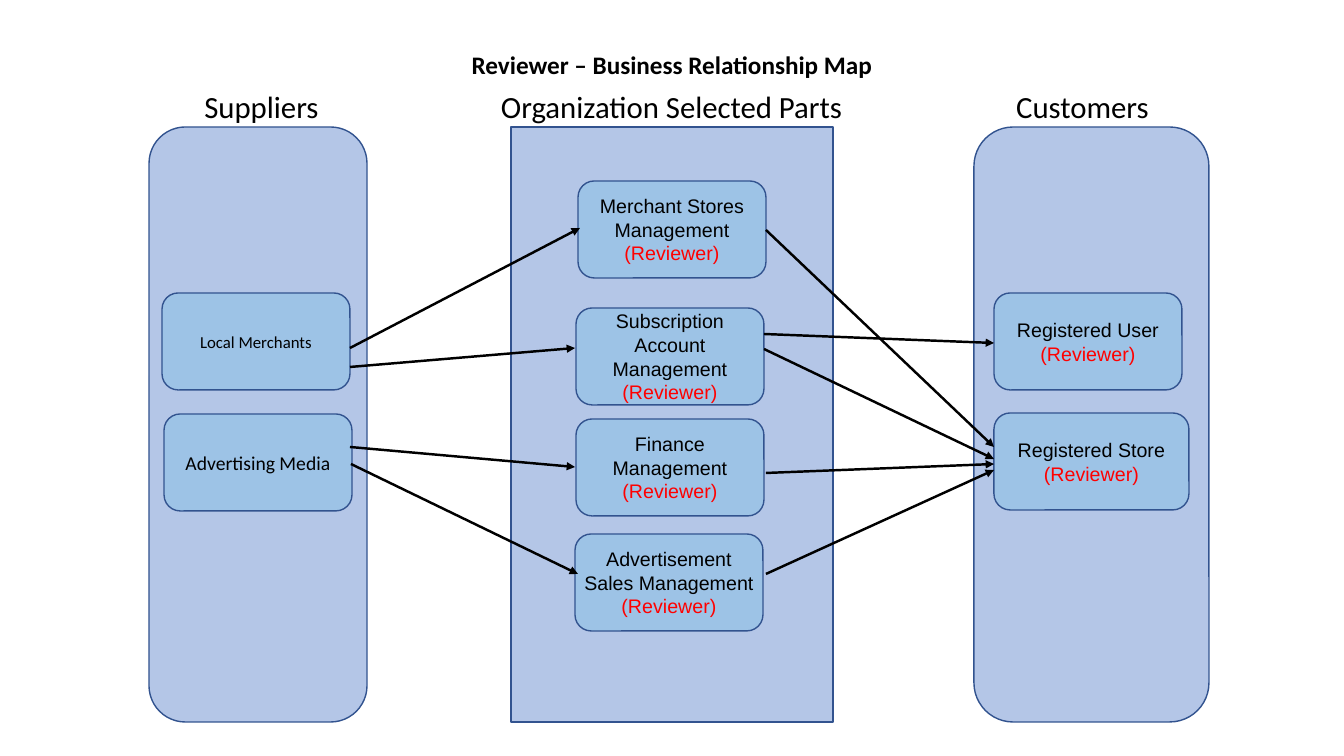
"""Builds the Reviewer business relationship map slide."""
from lxml import etree
from pptx import Presentation
from pptx.dml.color import RGBColor
from pptx.enum.shapes import MSO_CONNECTOR, MSO_SHAPE
from pptx.enum.text import MSO_ANCHOR, MSO_AUTO_SIZE, PP_ALIGN
from pptx.oxml.ns import qn
from pptx.util import Emu, Pt

EMU_PER_PX = 914400 / 100.8
BLACK = RGBColor(0, 0, 0)
RED = RGBColor(255, 0, 0)
PANEL_BLUE = RGBColor(0x44, 0x72, 0xC4)
BOX_BLUE = RGBColor(0x9D, 0xC3, 0xE6)
OUTLINE = RGBColor(0x32, 0x53, 0x8F)

PANEL_TOP, PANEL_HEIGHT = 127, 595
HEADING_TOP, HEADING_HEIGHT = 85, 42
BOX_WIDTH, BOX_HEIGHT = 188, 97
ROUND, SQUARE = MSO_SHAPE.ROUNDED_RECTANGLE, MSO_SHAPE.RECTANGLE
REVIEWER = ("(Reviewer)", RED)

COLUMNS = [
    ("Suppliers", 149, 225, ROUND, 149, 218),
    ("Organization Selected Parts", 490, 363, SQUARE, 511, 322),
    ("Customers", 970, 225, ROUND, 974, 235),
]
SUPPLIERS = [
    ("Local Merchants", 162, 293, 12),
    ("Advertising Media", 164, 414, 14),
]
REVIEWED_PARTS = [
    ("Merchant Stores Management", 578, 181, BOX_WIDTH, 10),
    ("Subscription Account Management", 576, 308, BOX_WIDTH, 10),
    ("Finance Management", 576, 419, BOX_WIDTH, 10),
    ("Advertisement Sales Management", 575, 534, BOX_WIDTH, 0),
    ("Registered User", 994, 293, BOX_WIDTH, 10),
    ("Registered Store", 994, 413, 195, 10),
]
ARROWS = [
    (350, 348, 580, 228), (350, 367, 575, 348),
    (350, 447, 575, 467), (351, 464, 578, 574),
    (766, 230, 994, 447), (764, 334, 994, 343),
    (764, 349, 994, 459), (766, 473, 994, 464),
    (766, 574, 994, 470),
]


def px(*lengths):
    """Turn pixel lengths into a list of EMU lengths."""
    return [Emu(round(length * EMU_PER_PX)) for length in lengths]


def write(frame, lines, size, font, inset=5, bold=False):
    """Fill a text frame with centred (text, colour) paragraphs."""
    frame.word_wrap = True
    frame.auto_size = MSO_AUTO_SIZE.NONE
    frame.vertical_anchor = MSO_ANCHOR.MIDDLE
    frame.margin_left, frame.margin_right = px(inset, inset)
    frame.margin_top = frame.margin_bottom = 0
    for index, (text, colour) in enumerate(lines):
        paragraph = frame.paragraphs[0] if index == 0 else frame.add_paragraph()
        paragraph.alignment = PP_ALIGN.CENTER
        paragraph.line_spacing = 1
        paragraph.space_before = Pt(0)
        run = paragraph.add_run()
        run.text = text
        run.font.name, run.font.size, run.font.bold = font, Pt(size), bold
        run.font.color.rgb = colour


def add_title(slide, text):
    """Place the slide title."""
    title = slide.shapes.title
    title.left, title.top, title.width, title.height = px(341, 44, 662, 40)
    write(title.text_frame, [(text, BLACK)], 18, "Calibri", bold=True)


def add_outlined(slide, kind, bounds, colour):
    """Add a filled shape with the common outline."""
    shape = slide.shapes.add_shape(kind, *px(*bounds))
    shape.shadow.inherit = False
    shape.fill.solid()
    shape.fill.fore_color.rgb = colour
    shape.line.color.rgb = OUTLINE
    shape.line.width = Pt(1)
    return shape


def add_column(slide, heading, text_left, text_width, kind, left, width):
    """Add a heading above a translucent panel."""
    label = slide.shapes.add_textbox(
        *px(text_left, HEADING_TOP, text_width, HEADING_HEIGHT))
    write(label.text_frame, [(heading, BLACK)], 22, "Calibri")
    panel = add_outlined(slide, kind, (left, PANEL_TOP, width, PANEL_HEIGHT),
                         PANEL_BLUE)
    colour = panel.fill._xPr.find(".//" + qn("a:srgbClr"))
    etree.SubElement(colour, qn("a:alpha")).set("val", "40000")


def add_box(slide, lines, left, top, width, size, font, inset):
    """Add a rounded box holding its text."""
    box = add_outlined(slide, ROUND, (left, top, width, BOX_HEIGHT), BOX_BLUE)
    write(box.text_frame, lines, size, font, inset)


def add_arrow(slide, *ends):
    """Add a straight arrow between two points."""
    arrow = slide.shapes.add_connector(MSO_CONNECTOR.STRAIGHT, *px(*ends))
    arrow.line.color.rgb = BLACK
    arrow.line.width = Pt(1.75)
    line = arrow.line._get_or_add_ln()
    etree.SubElement(line, qn("a:tailEnd")).set("type", "triangle")
    etree.SubElement(arrow._element.spPr, qn("a:effectLst"))


def main():
    """Build and save the slide."""
    deck = Presentation()
    deck.slide_width, deck.slide_height = px(1344, 756)
    slide = deck.slides.add_slide(deck.slide_layouts[5])
    add_title(slide, "Reviewer – Business Relationship Map")
    for column in COLUMNS:
        add_column(slide, *column)
    for name, left, top, size in SUPPLIERS:
        add_box(slide, [(name, BLACK)], left, top, BOX_WIDTH, size, "Calibri", 10)
    for name, left, top, width, inset in REVIEWED_PARTS:
        add_box(slide, [(name, BLACK), REVIEWER], left, top, width, 14,
                "Arial", inset)
    for ends in ARROWS:
        add_arrow(slide, *ends)
    deck.save("out.pptx")


main()
